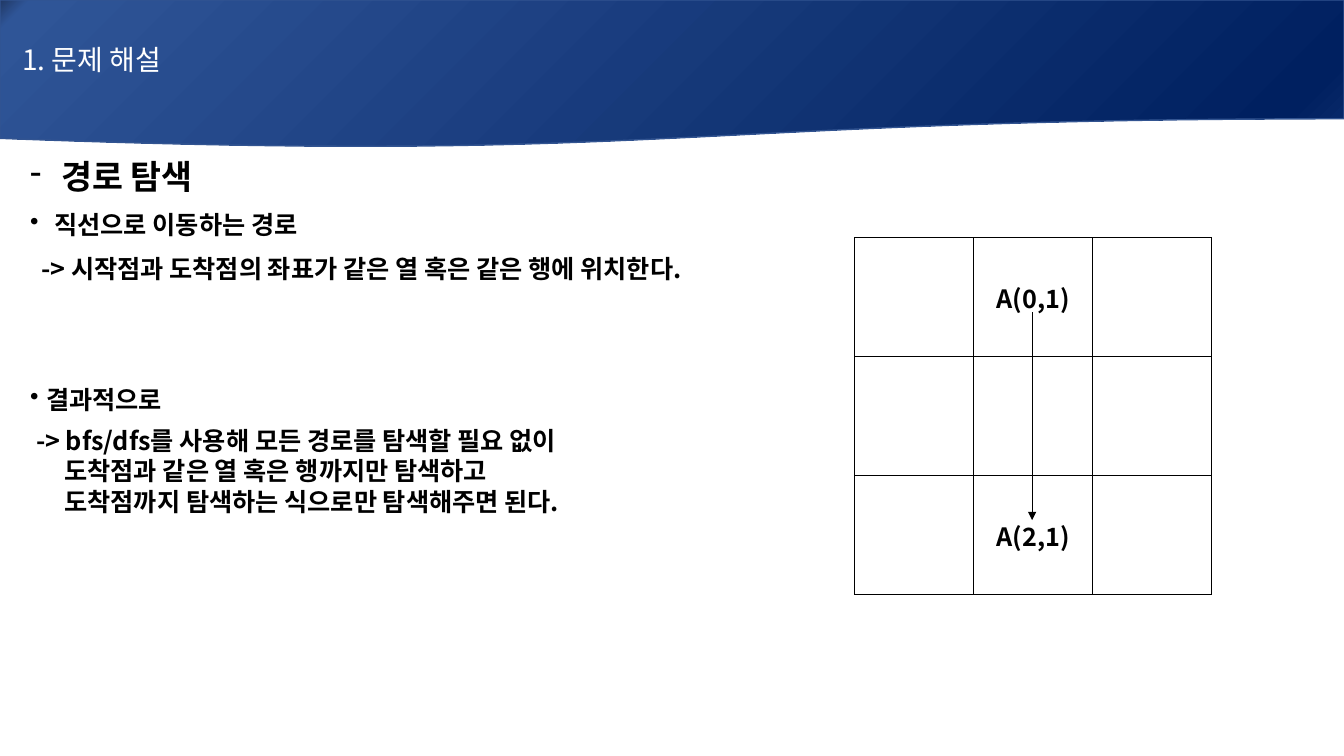
from dataclasses import dataclass

import pptx
import pptx.dml.color
import pptx.enum.shapes
import pptx.enum.text
import pptx.oxml
import pptx.oxml.ns
import pptx.util

FONT = "Noto Sans CJK KR"
COLORS = {
    "ink": "000000",
    "paper": "FFFFFF",
    "banner_edge": "325491",
}
BANNER_STOPS = {0: "203864", 2: "2F5597", 94: "002060", 100: "0D2E6F"}
COLUMNS, ROWS = 160, 90
SLIDE_WIDTH, SLIDE_HEIGHT = pptx.util.Inches(13.3333), pptx.util.Inches(7.5)
BOARD_SIZE = 3
SQUARE = 14.16


@dataclass(frozen=True)
class Line:
    text: str
    margin: float
    size: int = 18
    hanging: float = 0
    bullet: str = ""
    spaced: bool = True
    before: float = 0


EXPLANATION = [
    Line("경로 탐색", 3.72, size=24, hanging=3.72, bullet="-"),
    Line("직선으로 이동하는 경로", 2.88, hanging=2.88, bullet="•"),
    Line("-> 시작점과 도착점의 좌표가 같은 열 혹은 같은 행에 위치한다.", 1.32),
    Line("결과적으로", 1.92, hanging=1.92, bullet="•", before=62.5),
    Line("-> bfs/dfs를 사용해 모든 경로를 탐색할 필요 없이", 0.72, spaced=False),
    Line("도착점과 같은 열 혹은 행까지만 탐색하고", 4.08, spaced=False),
    Line("도착점까지 탐색하는 식으로만 탐색해주면 된다.", 4.08, spaced=False),
]
MARKS = {(0, 1): "A(0,1)", (2, 1): "A(2,1)"}


def col(count: float) -> int:
    return round(SLIDE_WIDTH * count / COLUMNS)


def row(count: float) -> int:
    return round(SLIDE_HEIGHT * count / ROWS)


def rgb(name: str) -> pptx.dml.color.RGBColor:
    return pptx.dml.color.RGBColor.from_string(COLORS[name])


def xml(markup: str):
    """Parse an element whose first tag is in the drawing namespace."""
    tag_end = min(i for i in (markup.find(c) for c in " />") if i > 0)
    declared = f"{markup[:tag_end]} {pptx.oxml.ns.nsdecls('a')}{markup[tag_end:]}"
    return pptx.oxml.parse_xml(declared)


def format_runs(paragraph, size: int, color: str, bold: bool = False) -> None:
    for run in paragraph.runs:
        run.font.size = pptx.util.Pt(size)
        run.font.bold = bold
        run.font.name = FONT
        run.font.color.rgb = rgb(color)
        run.font._element.append(xml(f'<a:ea typeface="{FONT}"/>'))


def set_indent(paragraph, margin: float, hanging: float = 0) -> None:
    properties = paragraph._p.get_or_add_pPr()
    properties.set("marL", str(col(margin)))
    properties.set("indent", str(-col(hanging)))


def add_explanation(slide) -> None:
    box = slide.shapes.add_textbox(col(2.4), row(17.64), col(143.4), row(52.08))
    frame = box.text_frame
    frame.word_wrap = True
    for index, line in enumerate(EXPLANATION):
        paragraph = frame.add_paragraph() if index else frame.paragraphs[0]
        paragraph.text = line.text
        set_indent(paragraph, line.margin, line.hanging)
        if line.bullet:
            paragraph._p.get_or_add_pPr().append(xml(f'<a:buChar char="{line.bullet}"/>'))
        if line.spaced:
            paragraph.alignment = pptx.enum.text.PP_ALIGN.JUSTIFY
            paragraph.line_spacing = 1.07
            paragraph.space_after = pptx.util.Pt(8)
        if line.before:
            paragraph.space_before = pptx.util.Pt(line.before)
        format_runs(paragraph, line.size, "ink", bold=True)


def add_banner(slide) -> None:
    banner = slide.shapes.add_shape(
        pptx.enum.shapes.MSO_SHAPE.FLOWCHART_DOCUMENT, 0, 0, SLIDE_WIDTH, row(17.64)
    )
    banner.shadow.inherit = False
    banner.line.color.rgb = rgb("banner_edge")
    banner.line.width = pptx.util.Pt(1)
    stops = "".join(
        f'<a:gs pos="{share * 1000}"><a:srgbClr val="{color}"/></a:gs>'
        for share, color in BANNER_STOPS.items()
    )
    banner.fill.gradient()
    gradient = banner._element.spPr.find(pptx.oxml.ns.qn("a:gradFill"))
    gradient.getparent().replace(
        gradient,
        xml(f'<a:gradFill><a:gsLst>{stops}</a:gsLst><a:lin ang="2700000" scaled="0"/></a:gradFill>'),
    )
    frame = banner.text_frame
    frame.text = "1. 문제 해설"
    frame.vertical_anchor = pptx.enum.text.MSO_ANCHOR.MIDDLE
    title = frame.paragraphs[0]
    title.alignment = pptx.enum.text.PP_ALIGN.LEFT
    set_indent(title, 1.44)
    format_runs(title, 20, "paper")


def add_borders(cell) -> None:
    properties = cell._tc.get_or_add_tcPr()
    for position, side in enumerate(("lnL", "lnR", "lnT", "lnB")):
        properties.insert(
            position,
            xml(
                f'<a:{side} w="12700"><a:solidFill><a:srgbClr val="{COLORS["ink"]}"/>'
                f"</a:solidFill></a:{side}>"
            ),
        )


def add_board(slide) -> None:
    side = SQUARE * BOARD_SIZE
    board = slide.shapes.add_table(
        BOARD_SIZE, BOARD_SIZE, col(101.76), row(28.32), col(side), row(side)
    ).table
    board.first_row = False
    board.horz_banding = False
    for index in range(BOARD_SIZE):
        board.columns[index].width = col(SQUARE)
        board.rows[index].height = row(SQUARE)
    for y in range(BOARD_SIZE):
        for x in range(BOARD_SIZE):
            square = board.cell(y, x)
            square.fill.solid()
            square.fill.fore_color.rgb = rgb("paper")
            add_borders(square)
            if (y, x) in MARKS:
                square.text_frame.text = MARKS[y, x]
                square.vertical_anchor = pptx.enum.text.MSO_ANCHOR.MIDDLE
                mark = square.text_frame.paragraphs[0]
                mark.alignment = pptx.enum.text.PP_ALIGN.CENTER
                format_runs(mark, 18, "ink", bold=True)


def add_route(slide) -> None:
    route = slide.shapes.add_connector(
        pptx.enum.shapes.MSO_CONNECTOR.STRAIGHT,
        col(122.88), row(37.2), col(122.88), row(61.92),
    )
    route.line.color.rgb = rgb("ink")
    route.line.width = pptx.util.Pt(0.5)
    route.line._get_or_add_ln().append(xml('<a:tailEnd type="triangle"/>'))
    route._element.spPr.append(xml("<a:effectLst/>"))


def main() -> None:
    deck = pptx.Presentation()
    deck.slide_width, deck.slide_height = SLIDE_WIDTH, SLIDE_HEIGHT
    slide = deck.slides.add_slide(deck.slide_layouts[6])
    add_explanation(slide)
    add_banner(slide)
    add_board(slide)
    add_route(slide)
    deck.save("out.pptx")


if __name__ == "__main__":
    main()
